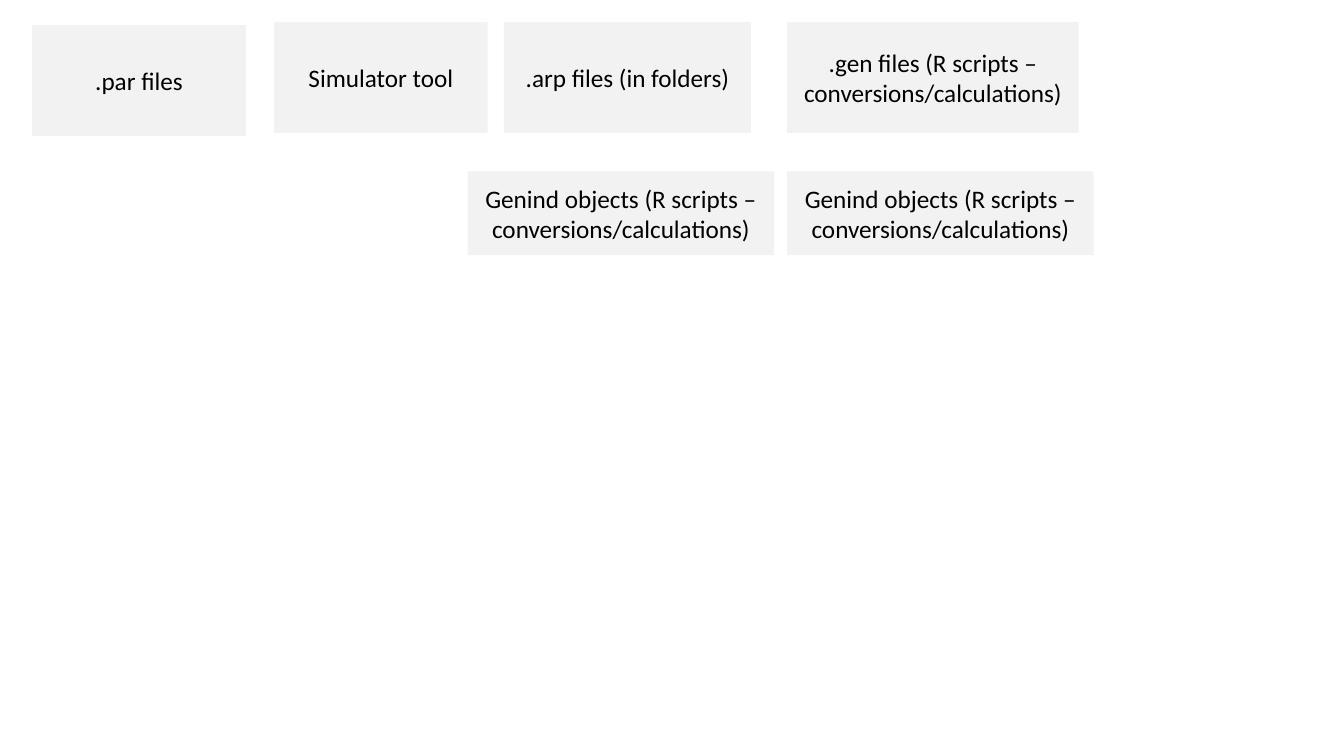
from pptx import Presentation
from pptx.dml.color import RGBColor
from pptx.enum.shapes import MSO_SHAPE
from pptx.enum.text import MSO_ANCHOR, PP_ALIGN
from pptx.util import Pt

RECTANGLE = MSO_SHAPE.RECTANGLE
MIDDLE = MSO_ANCHOR.MIDDLE
CENTER = PP_ALIGN.CENTER

LIGHT_GREY = RGBColor(0xF2, 0xF2, 0xF2)
BLACK = RGBColor(0, 0, 0)

GENIND = "Genind objects (R scripts – conversions/calculations)"
GEN_LEFT = 562.3  # shared left edge of the .gen step and the Genind step below it

# Each row: height, then its steps as (text, left, top, width), in points
ROWS = [
    (79.2, [
        (".par files", 23, 18, 152.6),
        ("Simulator tool", 195.8, 15.8, 152.6),
        (".arp files (in folders)", 360, 15.8, 176.4),
        (".gen files (R scripts – conversions/calculations)", GEN_LEFT, 15.8, 208.1),
    ]),
    (59.8, [
        (GENIND, GEN_LEFT, 122.4, 218.9),
        (GENIND, 334.1, 122.4, 218.9),
    ]),
]


def add_step(slide, text, left, top, width, height):
    step = slide.shapes.add_shape(RECTANGLE, Pt(left), Pt(top), Pt(width), Pt(height))
    step.shadow.inherit = False
    step.fill.solid()
    step.fill.fore_color.rgb = LIGHT_GREY
    step.line.fill.background()
    frame = step.text_frame
    frame.word_wrap = True
    frame.vertical_anchor = MIDDLE
    frame.text = text
    paragraph = frame.paragraphs[0]
    paragraph.alignment = CENTER
    font = paragraph.runs[0].font
    font.name = "Calibri"
    font.size = Pt(18)
    font.color.rgb = BLACK


def main():
    deck = Presentation()
    deck.slide_width, deck.slide_height = Pt(960), Pt(540)
    slide = deck.slides.add_slide(deck.slide_layouts[6])
    for height, steps in ROWS:
        for text, left, top, width in steps:
            add_step(slide, text, left, top, width, height)
    deck.save("out.pptx")


if __name__ == "__main__":
    main()
